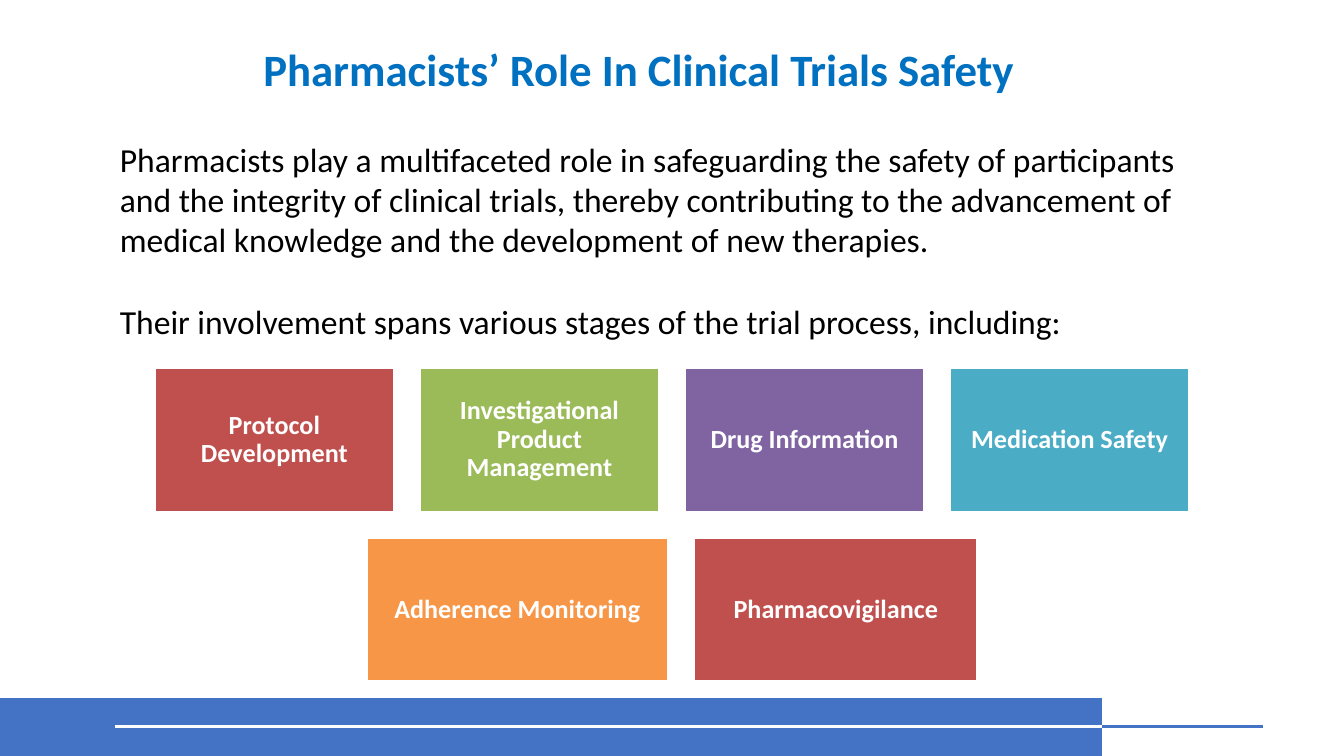
from lxml import etree
from pptx import Presentation
from pptx.dml.color import RGBColor
from pptx.enum import shapes, text
from pptx.oxml.ns import qn
from pptx.util import Pt

HEX = {"blue": "4472C4", "title": "0070C0", "white": "FFFFFF", "black": "000000",
       "red": "C0504D", "green": "9BBB59", "violet": "8064A2", "teal": "4BACC6",
       "orange": "F79646"}
WIDTH, HEIGHT = 720, 405
GAP = 13
TILE_H = 78
TILE_TOP = 196.6

# Each row holds (label, colour, width) and is centred on the slide.
ROWS = [
    [("Protocol Development", "red", 129),
     ("Investigational Product Management", "green", 129),
     ("Drug Information", "violet", 129),
     ("Medication Safety", "teal", 129)],
    [("Adherence Monitoring", "orange", 162.6),
     ("Pharmacovigilance", "red", 152.6)],
]
INTRO = [
    "Pharmacists play a multifaceted role in safeguarding the safety of participants "
    "and the integrity of clinical trials, thereby contributing to the advancement of "
    "medical knowledge and the development of new therapies.",
    "Their involvement spans various stages of the trial process, including:",
]


def color(name):
    return RGBColor.from_string(HEX[name])


class Deck:
    font = "Calibri"

    def __init__(self):
        self.prs = Presentation()
        self.prs.slide_width, self.prs.slide_height = Pt(WIDTH), Pt(HEIGHT)
        self.slide = self.prs.slides.add_slide(self.prs.slide_layouts[1])

    def place(self, shape, x, y, w, h):
        shape.left, shape.top, shape.width, shape.height = Pt(x), Pt(y), Pt(w), Pt(h)

    def add_text(self, para, words, size, hue, bold=False):
        run = para.add_run()
        run.text = words
        run.font.name, run.font.size, run.font.bold = self.font, Pt(size), bold
        run.font.color.rgb = color(hue)

    def title(self, words, *box):
        shape = self.slide.shapes.title
        self.place(shape, *box)
        para = shape.text_frame.paragraphs[0]
        para.alignment = text.PP_ALIGN.CENTER
        self.add_text(para, words, 24, "title", True)

    def body(self, paras, gap, *box):
        shape = self.slide.placeholders[1]
        self.place(shape, *box)
        frame = shape.text_frame
        for i, words in enumerate(paras):
            para = frame.add_paragraph() if i else frame.paragraphs[0]
            para.space_before = Pt(gap if i else 0)
            props = para._p.get_or_add_pPr()
            props.set("marL", "0")
            props.set("indent", "0")
            etree.SubElement(props, qn("a:buNone"))
            self.add_text(para, words, 18, "black")

    def rect(self, hue, *box):
        shape = self.slide.shapes.add_shape(shapes.MSO_SHAPE.RECTANGLE, *map(Pt, box))
        shape.shadow.inherit = False
        shape.fill.solid()
        shape.fill.fore_color.rgb = color(hue)
        shape.line.fill.background()
        return shape

    def tile(self, words, hue, *box):
        shape = self.rect(hue, *box)
        shape.line.color.rgb = color("white")
        shape.line.width = Pt(2)
        frame = shape.text_frame
        frame.word_wrap = True
        frame.vertical_anchor = text.MSO_ANCHOR.MIDDLE
        frame.margin_left = frame.margin_right = Pt(4.2)
        frame.margin_top = frame.margin_bottom = Pt(4.2)
        para = frame.paragraphs[0]
        para.alignment = text.PP_ALIGN.CENTER
        para.line_spacing = 0.9
        self.add_text(para, words, 14, "white", True)

    def rule(self, hue, x1, x2, y):
        line = self.slide.shapes.add_connector(
            shapes.MSO_CONNECTOR.STRAIGHT, Pt(x1), Pt(y), Pt(x2), Pt(y))
        line.line.color.rgb = color(hue)
        line.line.width = Pt(1.5)
        etree.SubElement(line._element.spPr, qn("a:effectLst"))


def main():
    deck = Deck()
    deck.rect("blue", 0, 374, 590.4, HEIGHT - 374)
    deck.rule("white", 61.5, 594.7, 389)
    deck.rule("blue", 590.4, 676.8, 389)
    deck.title("Pharmacists’ Role In Clinical Trials Safety ", 131.8, 18.7, 426.2, 36)
    deck.body(INTRO, 22, 57, 70.6, 606, 117)

    for i, row in enumerate(ROWS):
        span = sum(w for _, _, w in row) + GAP * (len(row) - 1)
        x = (WIDTH - span) / 2
        y = TILE_TOP + i * (TILE_H + GAP)
        for words, hue, w in row:
            deck.tile(words, hue, x, y, w, TILE_H)
            x += w + GAP

    deck.prs.save("out.pptx")


if __name__ == "__main__":
    main()
